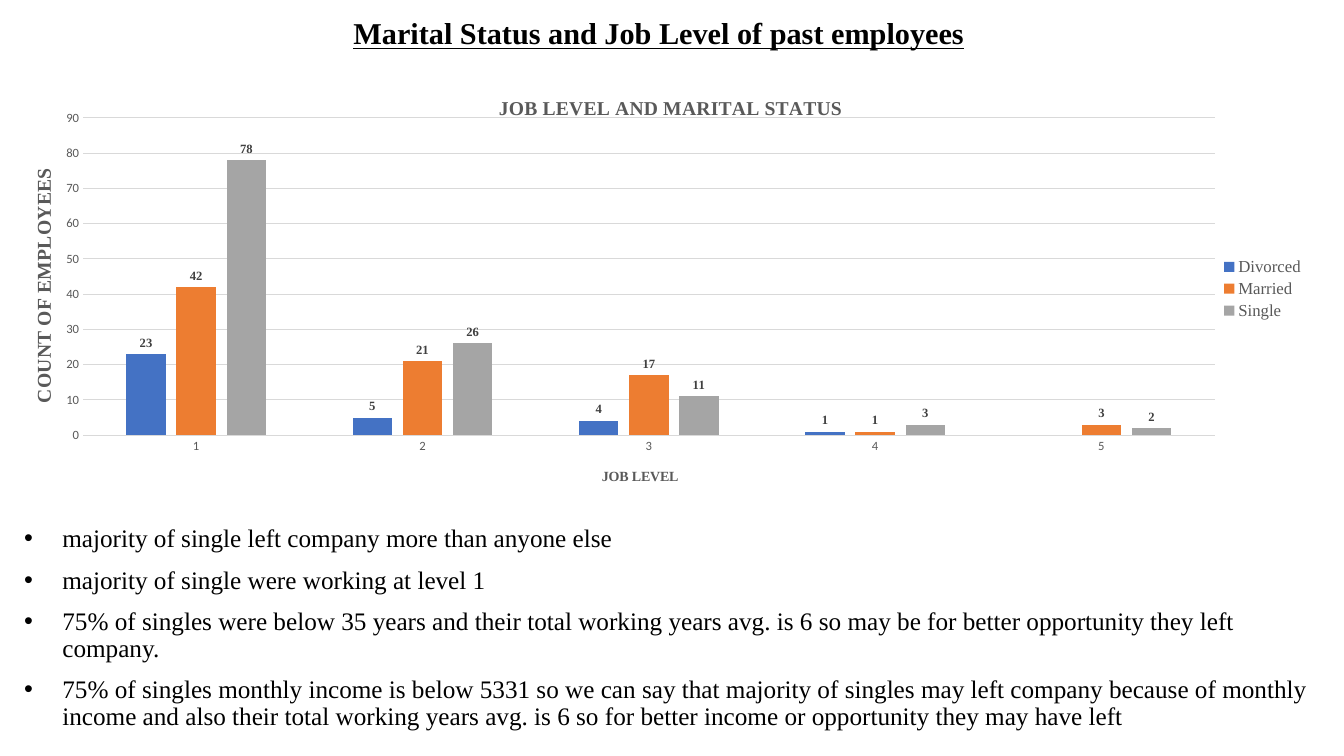
from typing import NamedTuple, Optional

from lxml.etree import SubElement
from pptx import Presentation
from pptx.chart.data import CategoryChartData
from pptx.dml.color import RGBColor
from pptx.enum.chart import XL_CHART_TYPE, XL_LABEL_POSITION, XL_LEGEND_POSITION, XL_TICK_MARK
from pptx.enum.text import MSO_ANCHOR, PP_ALIGN
from pptx.oxml.ns import qn
from pptx.util import Inches, Pt

SERIF = "Times New Roman"
SANS = "Calibri"
BLACK = RGBColor(0x00, 0x00, 0x00)
TEXT_GRAY = RGBColor(0x59, 0x59, 0x59)
LABEL_GRAY = RGBColor(0x40, 0x40, 0x40)
GRID_GRAY = RGBColor(0xD9, 0xD9, 0xD9)
BLUE = RGBColor(0x44, 0x72, 0xC4)
ORANGE = RGBColor(0xED, 0x7D, 0x31)
SILVER = RGBColor(0xA5, 0xA5, 0xA5)


class StatusSeries(NamedTuple):
    name: str
    counts: tuple[Optional[int], ...]
    color: RGBColor


class ChartTitle(NamedTuple):
    text: str
    size: float
    x: float
    y: float


JOB_LEVELS = ("1", "2", "3", "4", "5")
STATUSES = (
    StatusSeries("Divorced", (23, 5, 4, 1, None), BLUE),
    StatusSeries("Married", (42, 21, 17, 1, 3), ORANGE),
    StatusSeries("Single", (78, 26, 11, 3, 2), SILVER),
)
MAIN_TITLE = ChartTitle("JOB LEVEL AND MARITAL STATUS", 14, 0.37, 0.04)
LEVEL_TITLE = ChartTitle("JOB LEVEL", 10, 0.45, 0.91)
COUNT_TITLE = ChartTitle("COUNT OF EMPLOYEES", 14, 0.01, 0.21)
FINDINGS = (
    "majority of single left company more than anyone else",
    "majority of single were working at level 1",
    "75% of singles were below 35 years and their total working years avg. is 6 "
    "so may be for better opportunity they left company.",
    "75% of singles monthly income is below 5331 so we can say that majority of "
    "singles may left company because of monthly income and also their total "
    "working years avg. is 6 so for better income or opportunity they may have left",
)


def set_font(font, name: str, size: float, color: RGBColor, bold: bool = False) -> None:
    font.name = name
    font.size = Pt(size)
    font.bold = bold
    font.color.rgb = color


def add_text(slide, left: float, top: float, width: float, height: float, text: str):
    text_frame = slide.shapes.add_textbox(
        Inches(left), Inches(top), Inches(width), Inches(height)).text_frame
    text_frame.word_wrap = True
    text_frame.text = text
    for paragraph in text_frame.paragraphs:
        paragraph.line_spacing = 0.9
    return text_frame


def add_bullet(paragraph) -> None:
    properties = paragraph._p.get_or_add_pPr()
    properties.set("marL", str(Inches(0.38)))
    properties.set("indent", str(-Inches(0.38)))
    SubElement(properties, qn("a:buFont")).set("typeface", "Arial")
    SubElement(properties, qn("a:buChar")).set("char", "•")


def add_layout(parent, after, values: dict[str, str]) -> None:
    """Give a chart part a fixed place, as fractions of the chart."""
    for old_layout in parent.findall(qn("c:layout")):
        parent.remove(old_layout)
    layout = SubElement(parent, qn("c:layout"))
    manual = SubElement(layout, qn("c:manualLayout"))
    for tag, value in values.items():
        SubElement(manual, qn(f"c:{tag}")).set("val", value)
    if after is None:
        parent.insert(0, layout)
    else:
        after.addnext(layout)


def write_title(title, content: ChartTitle) -> None:
    title.text_frame.text = content.text
    for run in title.text_frame.paragraphs[0].runs:
        set_font(run.font, SERIF, content.size, TEXT_GRAY, True)
    element = title._element
    add_layout(element, element.find(qn("c:tx")), {
        "xMode": "edge", "yMode": "edge", "x": str(content.x), "y": str(content.y)})


def style_axis(axis, title: ChartTitle) -> None:
    axis.major_tick_mark = XL_TICK_MARK.NONE
    axis.minor_tick_mark = XL_TICK_MARK.NONE
    set_font(axis.tick_labels.font, SANS, 9, TEXT_GRAY)
    write_title(axis.axis_title, title)


def add_status_chart(slide) -> None:
    chart_data = CategoryChartData()
    chart_data.categories = JOB_LEVELS
    for status in STATUSES:
        chart_data.add_series(status.name, status.counts)
    chart = slide.shapes.add_chart(
        XL_CHART_TYPE.COLUMN_CLUSTERED, Inches(0.14), Inches(0.74),
        Inches(12.9), Inches(4.25), chart_data).chart
    set_font(chart.font, SANS, 10, BLACK)
    chart.has_title = True
    write_title(chart.chart_title, MAIN_TITLE)

    # Axes
    style_axis(chart.category_axis, LEVEL_TITLE)
    chart.category_axis.format.line.color.rgb = GRID_GRAY
    chart.category_axis.format.line.width = Pt(0.75)
    value_axis = chart.value_axis
    style_axis(value_axis, COUNT_TITLE)
    value_axis.minimum_scale, value_axis.maximum_scale, value_axis.major_unit = 0, 90, 10
    value_axis.format.line.fill.background()
    value_axis.major_gridlines.format.line.color.rgb = GRID_GRAY
    value_axis.major_gridlines.format.line.width = Pt(0.75)
    title_body = value_axis.axis_title._element.find(".//" + qn("a:bodyPr"))
    title_body.set("rot", "-5400000")
    title_body.set("vert", "horz")

    # Columns and their labels
    plot = chart.plots[0]
    plot.vary_by_categories = False
    plot.gap_width = 219
    plot.overlap = -27
    for series, status in zip(plot.series, STATUSES):
        series.format.fill.solid()
        series.format.fill.fore_color.rgb = status.color
        series.invert_if_negative = False
        labels = series.data_labels
        labels.show_value = True
        labels.position = XL_LABEL_POSITION.OUTSIDE_END
        set_font(labels.font, SERIF, 9, LABEL_GRAY, True)

    # Legend and plot area
    chart.has_legend = True
    chart.legend.position = XL_LEGEND_POSITION.RIGHT
    chart.legend.include_in_layout = False
    set_font(chart.legend.font, SERIF, 12, TEXT_GRAY)
    plot_area = chart._chartSpace.find(".//" + qn("c:plotArea"))
    add_layout(plot_area, None, {
        "layoutTarget": "inner", "xMode": "edge", "yMode": "edge",
        "x": "0.053", "y": "0.101", "w": "0.87", "h": "0.741"})


def main() -> None:
    presentation = Presentation()
    presentation.slide_width = Inches(13.33)
    presentation.slide_height = Inches(7.5)
    slide = presentation.slides.add_slide(presentation.slide_layouts[6])

    # Heading
    heading = add_text(slide, 3.17, 0.07, 6.73, 0.49,
                       "Marital Status and Job Level of past employees")
    heading.vertical_anchor = MSO_ANCHOR.BOTTOM
    heading.paragraphs[0].alignment = PP_ALIGN.CENTER
    heading_font = heading.paragraphs[0].runs[0].font
    set_font(heading_font, SERIF, 21.6, BLACK, True)
    heading_font.underline = True

    # Findings
    findings = add_text(slide, 0.14, 5.17, 13.12, 2.26, "\n".join(FINDINGS))
    for paragraph in findings.paragraphs:
        paragraph.space_before = Pt(10)
        add_bullet(paragraph)
        set_font(paragraph.runs[0].font, SERIF, 18, BLACK)

    add_status_chart(slide)
    presentation.save("out.pptx")


if __name__ == "__main__":
    main()
